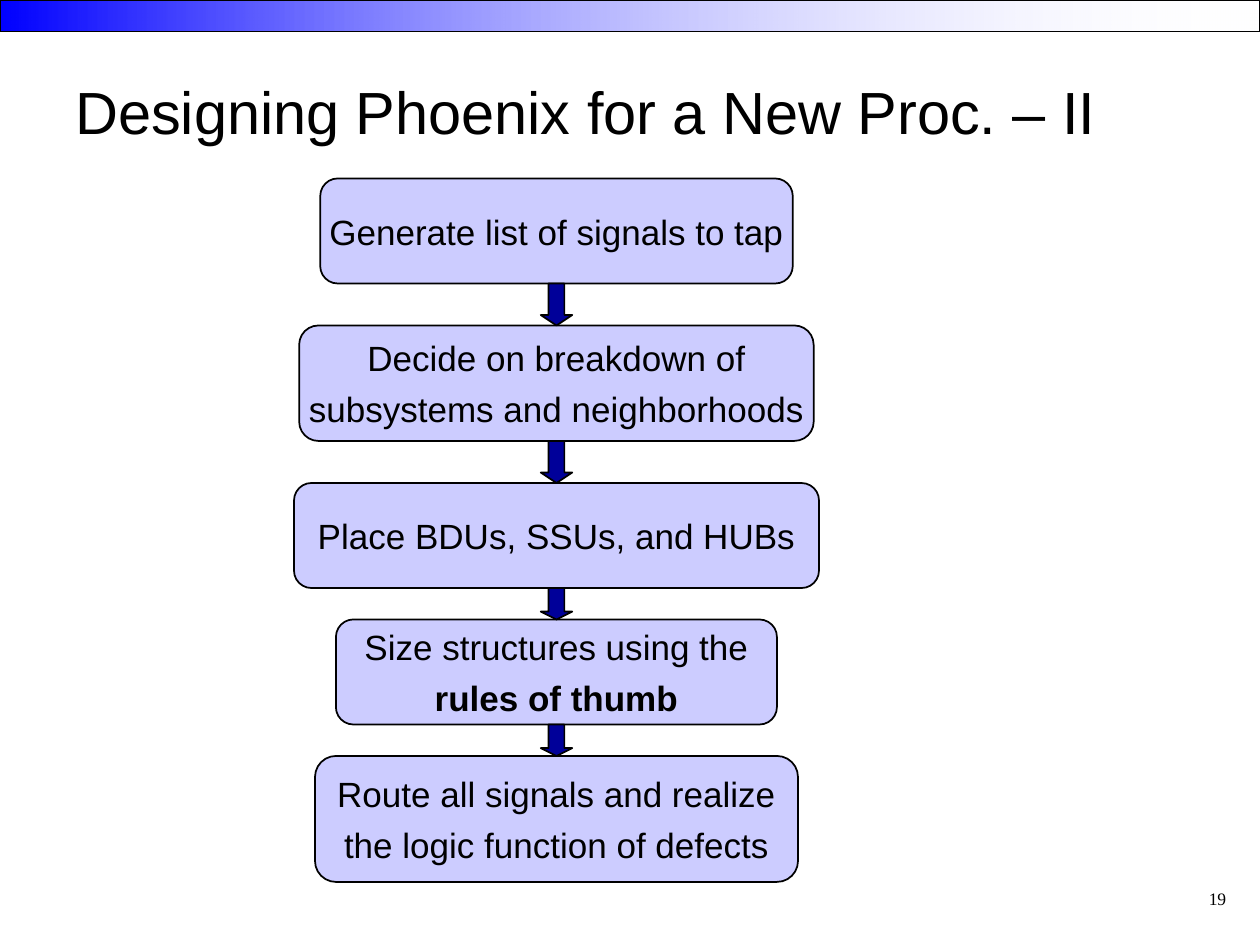
"""Build the slide with the five design steps for a new processor."""
import dataclasses

import lxml.etree
import pptx
import pptx.dml.color
import pptx.enum.shapes
import pptx.enum.text
import pptx.oxml.ns
import pptx.util

Inches = pptx.util.Inches
Pt = pptx.util.Pt
RGB = pptx.dml.color.RGBColor.from_string
SHAPE = pptx.enum.shapes.MSO_SHAPE
ALIGN = pptx.enum.text.PP_ALIGN
ANCHOR = pptx.enum.text.MSO_ANCHOR


@dataclasses.dataclass(frozen=True)
class Theme:
    """Colours, fonts and sizes of the slide."""
    ink: str = "000000"
    paper: str = "FFFFFF"
    band: str = "0000FF"
    step: str = "CCCCFF"
    arrow: str = "000099"
    font: str = "Arial"
    number_font: str = "Times New Roman"
    title_size: int = 34
    step_size: int = 20
    number_size: int = 10
    line: int = 1


THEME = Theme()
UNIT = 1 / 12
CENTER = 53 * UNIT
FLOW_TOP = 17 * UNIT
ARROW_WIDTH = 0.25

# Lines, width, height and gap below; the sizes are in grid units.
STEPS = [
    (["Generate list of signals to tap"], 45, 10, 4),
    (["Decide on breakdown of", "subsystems and neighborhoods"], 49, 11, 4),
    (["Place BDUs, SSUs, and HUBs"], 50, 10, 3),
    (["Size structures using the", "rules of thumb"], 42, 10, 3),
    (["Route all signals and realize", "the logic function of defects"], 46, 12, 0),
]
BOLD_LINES = {"rules of thumb"}


def style_font(font, size, name=THEME.font):
    """Set size, typeface and ink colour of a font."""
    font.size = Pt(size)
    font.name = name
    font.color.rgb = RGB(THEME.ink)


def add_outlined(s, kind, left, top, width, height, fill=None):
    """Add a preset shape with a thin outline and no shadow."""
    sp = s.shapes.add_shape(kind, Inches(left), Inches(top), Inches(width), Inches(height))
    sp.shadow.inherit = False
    sp.line.color.rgb = RGB(THEME.ink)
    sp.line.width = Pt(THEME.line)
    if fill:
        sp.fill.solid()
        sp.fill.fore_color.rgb = RGB(fill)
    return sp


def add_band(s):
    """Add the top band that fades out to the right."""
    sp = add_outlined(s, SHAPE.RECTANGLE, 0, 0, 10, 0.25)
    sp.fill.gradient()
    sp.fill.gradient_angle = 180
    for stop, color in zip(sp.fill.gradient_stops, (THEME.paper, THEME.band)):
        stop.color.rgb = RGB(color)
    faded = next(sp.fill._xPr.iter(pptx.oxml.ns.qn("a:srgbClr")))
    lxml.etree.SubElement(faded, pptx.oxml.ns.qn("a:alpha"), val="2000")


def add_label(s, text, left, top, width, height, size, name=THEME.font,
              align=ALIGN.LEFT, anchor=ANCHOR.TOP):
    """Add a wrapped text box with one paragraph."""
    sp = s.shapes.add_textbox(Inches(left), Inches(top), Inches(width), Inches(height))
    tf = sp.text_frame
    tf.word_wrap = True
    tf.vertical_anchor = anchor
    tf.text = text
    p = tf.paragraphs[0]
    p.alignment = align
    style_font(p.runs[0].font, size, name)


def add_step(s, lines, top, width, height):
    """Add one rounded step box centred on the flow axis."""
    sp = add_outlined(s, SHAPE.ROUNDED_RECTANGLE, CENTER - width / 2, top,
                      width, height, THEME.step)
    tf = sp.text_frame
    tf.word_wrap = False
    tf.vertical_anchor = ANCHOR.MIDDLE
    tf.text = "\n".join(lines)
    for i, p in enumerate(tf.paragraphs):
        p.alignment = ALIGN.CENTER
        if i:
            p.space_before = Pt(5)
        r = p.runs[0]
        style_font(r.font, THEME.step_size)
        if r.text in BOLD_LINES:
            r.font.bold = True


def add_arrow(s, top, height):
    """Add a block arrow that fills the gap between two steps."""
    sp = add_outlined(s, SHAPE.DOWN_ARROW, CENTER - ARROW_WIDTH / 2, top,
                      ARROW_WIDTH, height, THEME.arrow)
    sp.adjustments[0] = 0.5
    sp.adjustments[1] = height


def add_flow(s):
    """Stack the steps downwards and join them with arrows."""
    top, arrows = FLOW_TOP, []
    for lines, *units in STEPS:
        width, height, gap = (n * UNIT for n in units)
        add_step(s, lines, top, width, height)
        if gap:
            arrows.append((top + height, gap))
        top += height + gap
    for arrow_top, gap in arrows:
        add_arrow(s, arrow_top, gap)


def main():
    """Build and save the slide."""
    prs = pptx.Presentation()
    prs.slide_width, prs.slide_height = Inches(10), Inches(7.5)
    s = prs.slides.add_slide(prs.slide_layouts[6])
    add_band(s)
    add_label(s, "Designing Phoenix for a New Proc. – II", 0.5, 0.25, 9, 1.25,
              THEME.title_size, anchor=ANCHOR.MIDDLE)
    add_flow(s)
    add_label(s, "19", 7.5, 7, 2.33, 0.5, THEME.number_size,
              THEME.number_font, ALIGN.RIGHT)
    prs.save("out.pptx")


if __name__ == "__main__":
    main()
